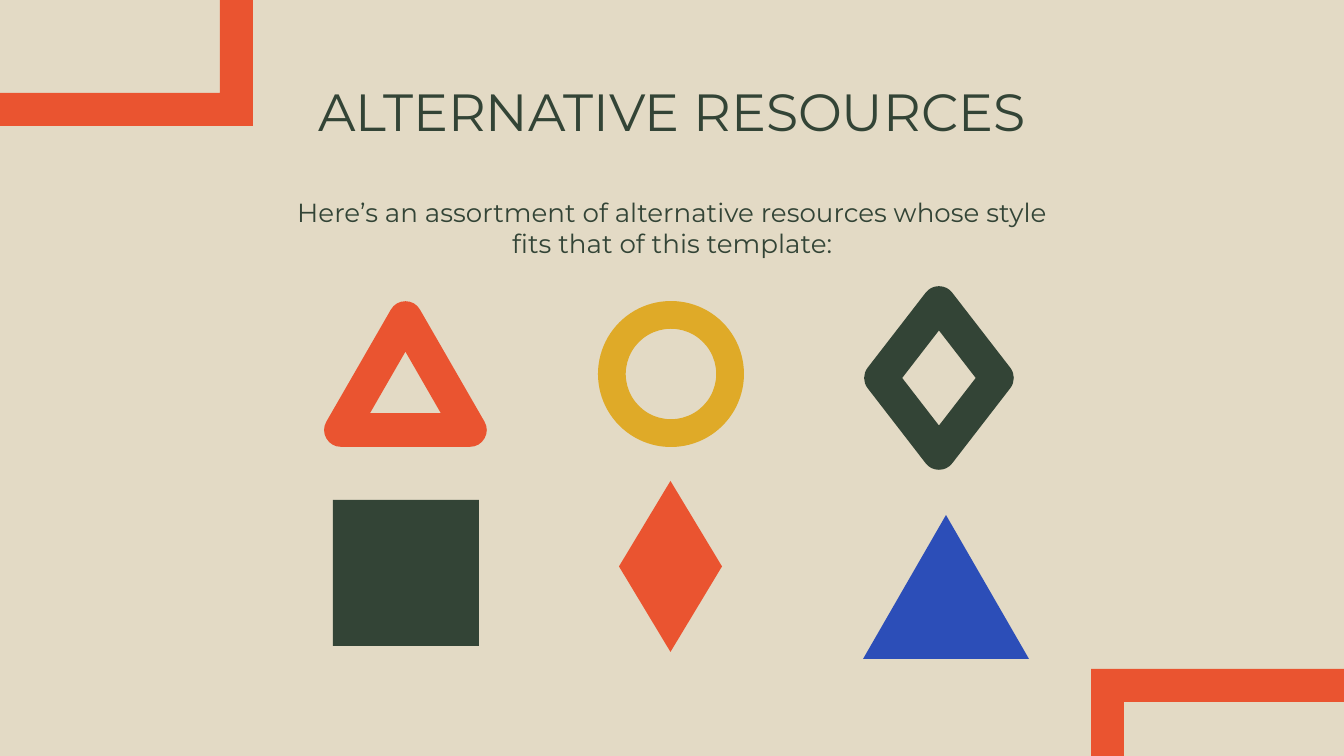
from lxml import etree
from pptx import Presentation
from pptx.dml.color import RGBColor
from pptx.enum.shapes import MSO_SHAPE
from pptx.enum.text import MSO_ANCHOR, MSO_AUTO_SIZE, PP_ALIGN
from pptx.oxml.ns import qn
from pptx.util import Pt

PX = 9144000 / 1344  # EMU per px
FONT = "Montserrat"
COLORS = {
    "sand": "E3DAC5",
    "orange": "EA5430",
    "green": "334436",
    "yellow": "DFAA28",
    "blue": "2C4EB8",
}
DONUT = MSO_SHAPE.DONUT
TRIANGLE = MSO_SHAPE.ISOSCELES_TRIANGLE
DIAMOND = MSO_SHAPE.DIAMOND
SQUARE = MSO_SHAPE.RECTANGLE
TOP, MIDDLE = MSO_ANCHOR.TOP, MSO_ANCHOR.MIDDLE
CENTER = PP_ALIGN.CENTER
NO_AUTOFIT = MSO_AUTO_SIZE.NONE


def emu(*lengths):
    return [round(length * PX) for length in lengths]


def write(box, text, size, anchor):
    frame = box.text_frame
    frame.word_wrap = True
    frame.auto_size = NO_AUTOFIT
    frame.vertical_anchor = anchor
    frame.margin_left = frame.margin_right = emu(13)[0]
    frame.margin_top = frame.margin_bottom = emu(13)[0]
    frame.text = text
    paragraph = frame.paragraphs[0]
    paragraph.alignment = CENTER
    font = paragraph.runs[0].font
    font.name = FONT
    font.size = Pt(size)
    font.color.rgb = RGBColor.from_string(COLORS["green"])


prs = Presentation()
prs.slide_width, prs.slide_height = emu(1344, 756)
slide = prs.slides.add_slide(prs.slide_layouts[5])
slide.background.fill.solid()
slide.background.fill.fore_color.rgb = RGBColor.from_string(COLORS["sand"])

# Corner brackets, running to the slide edges
brackets = [
    [(0, 93), (220, 93), (220, 0), (253, 0), (253, 126), (0, 126)],
    [(1091, 669), (1344, 669), (1344, 702), (1124, 702), (1124, 756), (1091, 756)],
]
for corners in brackets:
    builder = slide.shapes.build_freeform(*corners[0], scale=PX)
    builder.add_line_segments(corners[1:], close=True)
    bracket = builder.convert_to_shape()
    bracket.shadow.inherit = False
    bracket.fill.solid()
    bracket.fill.fore_color.rgb = RGBColor.from_string(COLORS["orange"])
    bracket.line.fill.background()

# Title and introduction
title = slide.shapes.title
title.left, title.top, title.width, title.height = emu(106, 66, 1132, 85)
write(title, "ALTERNATIVE RESOURCES", 28, TOP)

intro = slide.shapes.add_textbox(*emu(262, 180, 821, 95))
write(
    intro,
    "Here’s an assortment of alternative resources whose style fits that of this template:",
    14,
    MIDDLE,
)

# Resources: kind, left, top, width, height, colour, outlined
resources = [
    (TRIANGLE, 341, 318, 129, 112, "orange", True),
    (DONUT, 598, 301, 146, 146, "yellow", False),
    (DIAMOND, 881, 303, 116, 150, "green", True),
    (SQUARE, 333, 500, 146, 146, "green", False),
    (DIAMOND, 619, 481, 103, 171, "orange", False),
    (TRIANGLE, 863, 515, 166, 144, "blue", False),
]
for kind, left, top, width, height, color, outlined in resources:
    resource = slide.shapes.add_shape(kind, *emu(left, top, width, height))
    resource.shadow.inherit = False
    rgb = RGBColor.from_string(COLORS[color])
    if outlined:
        resource.fill.background()
        resource.line.color.rgb = rgb
        resource.line.width = Pt(18)
        # Rounded corners on the thick outline
        etree.SubElement(resource.line._get_or_add_ln(), qn("a:round"))
    else:
        resource.fill.solid()
        resource.fill.fore_color.rgb = rgb
        resource.line.fill.background()
    if kind == DONUT:
        resource.adjustments[0] = 0.19

prs.save("out.pptx")
